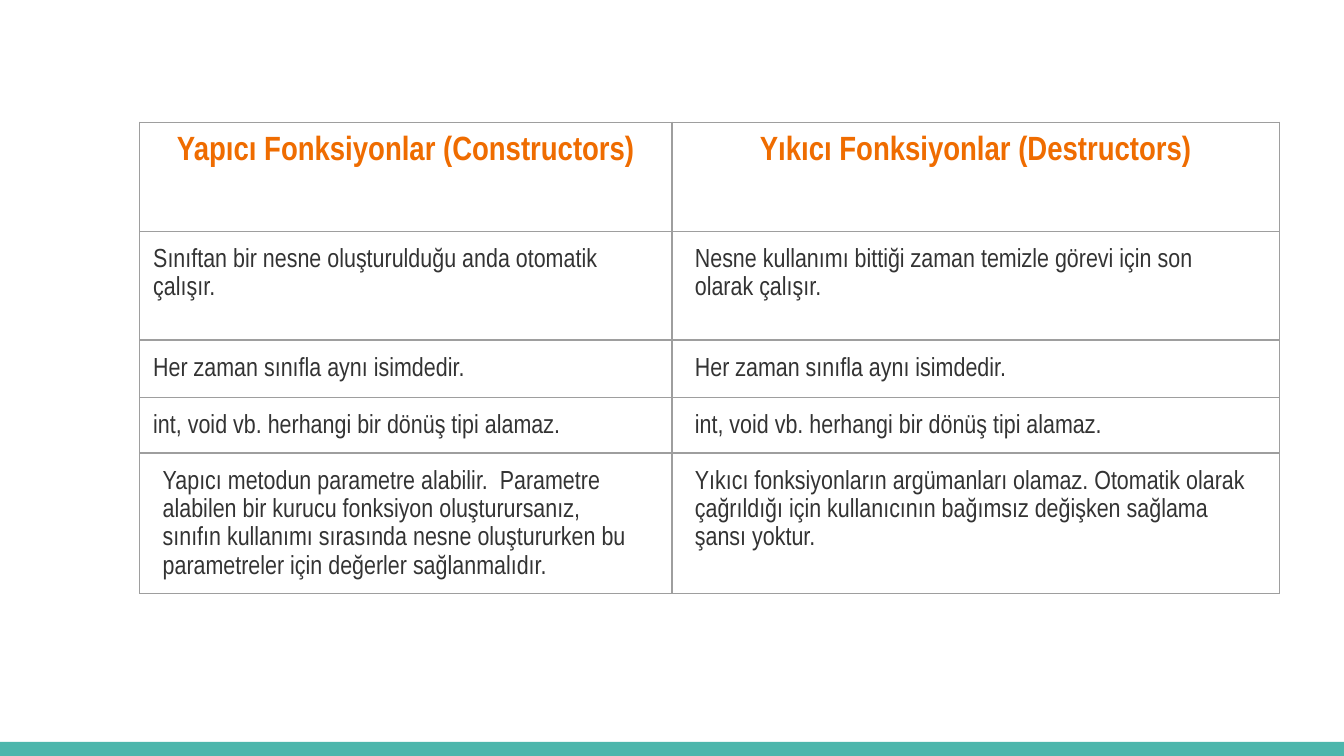
"""Build a slide with a table comparing constructors and destructors."""
from lxml import etree
from pptx import Presentation
from pptx.dml.color import RGBColor
from pptx.enum.shapes import MSO_SHAPE
from pptx.enum.text import PP_ALIGN
from pptx.oxml.ns import qn
from pptx.util import Inches, Pt

RECT = MSO_SHAPE.RECTANGLE
CENTER = PP_ALIGN.CENTER
LEFT = PP_ALIGN.LEFT
TEAL = RGBColor(0x4D, 0xB6, 0xAC)
ORANGE = RGBColor(0xEF, 0x6C, 0x00)
DARK = RGBColor(0x33, 0x33, 0x33)
GRAY = RGBColor(0x9E, 0x9E, 0x9E)

SIZE = (10, 10 * 9 / 16)
BAR = (0, 5.52, 10, 0.11)
ORIGIN = (1.04, 0.91)
COLS = [3.96, 4.52]
ROWS = [0.81, 0.81, 0.43, 0.37, 0.78]
INDENT = {"marL": 0.07, "marR": 0.1}
INSET = 0.1
SIDES = ("lnL", "lnR", "lnT", "lnB")

NAME = "Her zaman sınıfla aynı isimdedir."
TYPE = "int, void vb. herhangi bir dönüş tipi alamaz."
CELLS = [
    ("Yapıcı Fonksiyonlar (Constructors)", "Yıkıcı Fonksiyonlar (Destructors)"),
    ("Sınıftan bir nesne oluşturulduğu anda otomatik çalışır.",
     "Nesne kullanımı bittiği zaman temizle görevi için son olarak çalışır."),
    (NAME, NAME),
    (TYPE, TYPE),
    ("Yapıcı metodun parametre alabilir.  Parametre alabilen bir kurucu "
     "fonksiyon oluşturursanız, sınıfın kullanımı sırasında nesne "
     "oluştururken bu parametreler için değerler sağlanmalıdır.",
     "Yıkıcı fonksiyonların argümanları olamaz. Otomatik olarak çağrıldığı "
     "için kullanıcının bağımsız değişken sağlama şansı yoktur."),
]
HEAD = {"name": "Arial Narrow", "size": Pt(18), "bold": True}
BODY = {"name": "Arial Narrow", "size": Pt(14), "bold": False}
MARGINS = ("margin_left", "margin_right", "margin_top", "margin_bottom")


def add_edges(cell):
    props = cell._tc.get_or_add_tcPr()
    for side in SIDES:
        line = etree.SubElement(props, qn(f"a:{side}"), w=str(Pt(0.75)))
        fill = etree.SubElement(line, qn("a:solidFill"))
        etree.SubElement(fill, qn("a:srgbClr"), val=str(GRAY))


def fill_cell(cell, text, head, indent):
    add_edges(cell)
    cell.fill.background()
    for margin in MARGINS:
        setattr(cell, margin, Inches(INSET))
    para = cell.text_frame.paragraphs[0]
    para.alignment = CENTER if head else LEFT
    if not head:
        para.line_spacing = 1.15
    if indent:
        for side, width in INDENT.items():
            para._p.get_or_add_pPr().set(side, str(Inches(width)))
    run = para.add_run()
    run.text = text
    for key, value in (HEAD if head else BODY).items():
        setattr(run.font, key, value)
    run.font.color.rgb = ORANGE if head else DARK


def add_grid(slide):
    box = map(Inches, (*ORIGIN, sum(COLS), sum(ROWS)))
    table = slide.shapes.add_table(len(ROWS), len(COLS), *box).table
    table.first_row = table.horz_banding = False
    for col, width in zip(table.columns, COLS):
        col.width = Inches(width)
    for row, height in zip(table.rows, ROWS):
        row.height = Inches(height)
    last = len(CELLS) - 1
    for r, texts in enumerate(CELLS):
        for c, text in enumerate(texts):
            head = r == 0
            indent = not head and (c == 1 or r == last)
            fill_cell(table.cell(r, c), text, head, indent)


def main():
    deck = Presentation()
    deck.slide_width, deck.slide_height = map(Inches, SIZE)
    slide = deck.slides.add_slide(deck.slide_layouts[6])
    bar = slide.shapes.add_shape(RECT, *map(Inches, BAR))
    bar.shadow.inherit = False
    bar.fill.solid()
    bar.fill.fore_color.rgb = TEAL
    bar.line.fill.background()
    add_grid(slide)
    deck.save("out.pptx")


if __name__ == "__main__":
    main()
